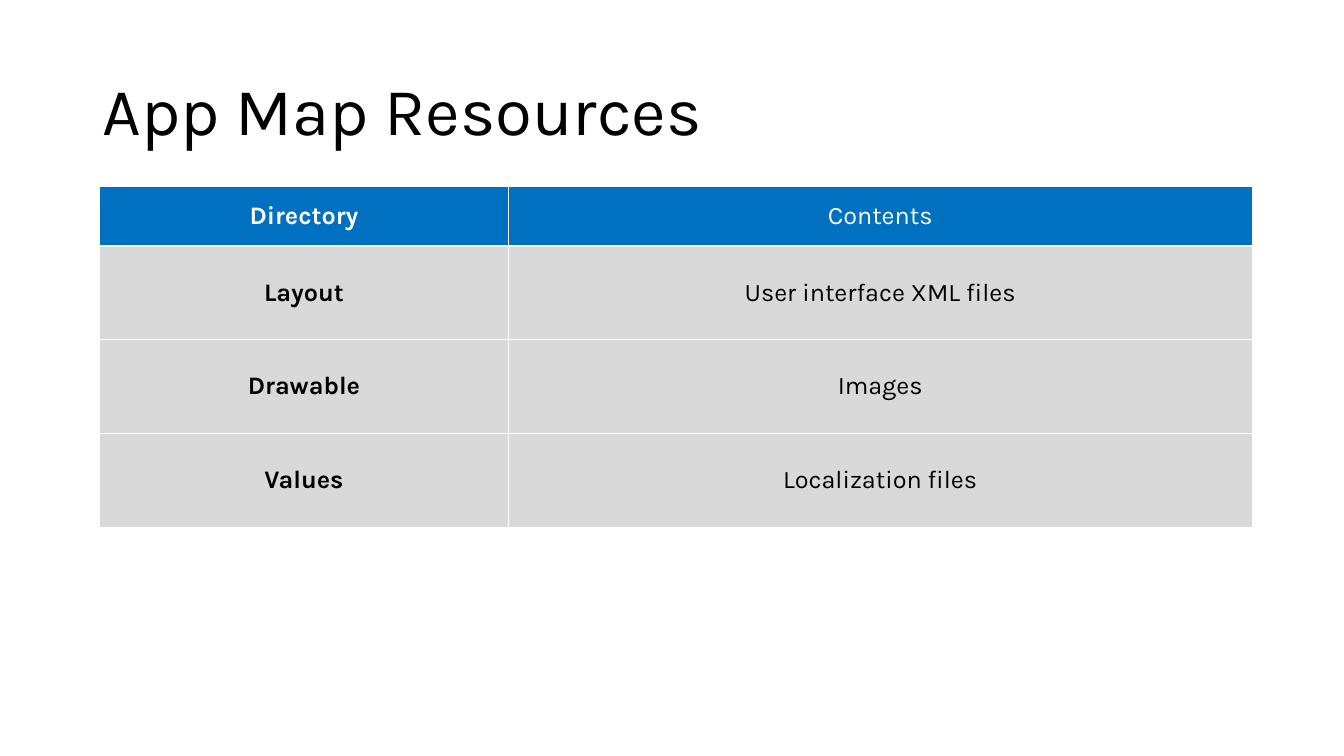
from lxml import etree
from pptx import Presentation
from pptx import util as u
from pptx.dml.color import RGBColor
from pptx.enum import text
from pptx.oxml import ns

BLACK = RGBColor(0x00, 0x00, 0x00)
WHITE = RGBColor(0xFF, 0xFF, 0xFF)
HEADER_BLUE = RGBColor(0x00, 0x70, 0xC0)
BODY_GRAY = RGBColor(0xD9, 0xD9, 0xD9)

EMU_PER_PX = 9144
COLUMN_WIDTHS = (405, 738)
ROW_HEIGHTS = (59, 93, 93, 93)
ROWS = (
    ("Directory", "Contents"),
    ("Layout", "User interface XML files"),
    ("Drawable", "Images"),
    ("Values", "Localization files"),
)


def px(length):
    return u.Emu(length * EMU_PER_PX)


def write(paragraph, content, font="Karla", size=18, color=BLACK, bold=False,
          align=text.PP_ALIGN.LEFT, spacing=1.0):
    paragraph.alignment = align
    paragraph.line_spacing = spacing
    run = paragraph.add_run()
    run.text = content
    run.font.name = font
    run.font.size = u.Pt(size)
    run.font.bold = bold
    run.font.color.rgb = color


class SlideBuilder:
    """Draws styled elements on one slide."""

    def __init__(self, slide, font="Karla", border=WHITE, border_width=1):
        self.slide = slide
        self.font = font
        self.border = border
        self.border_width = border_width

    def title(self, content, left, top, width, height):
        shape = self.slide.shapes.add_textbox(px(left), px(top), px(width), px(height))
        frame = shape.text_frame
        frame.word_wrap = True
        frame.vertical_anchor = text.MSO_ANCHOR.MIDDLE
        write(frame.paragraphs[0], content, font=self.font, size=48, spacing=0.9)

    def borders(self, cell):
        properties = cell._tc.get_or_add_tcPr()
        for index, side in enumerate(("lnL", "lnR", "lnT", "lnB")):
            line = etree.Element(ns.qn(f"a:{side}"), w=str(u.Pt(self.border_width)))
            fill = etree.SubElement(line, ns.qn("a:solidFill"))
            etree.SubElement(fill, ns.qn("a:srgbClr"), val=str(self.border))
            properties.insert(index, line)

    def cell(self, cell, content, fill, color, bold):
        cell.fill.solid()
        cell.fill.fore_color.rgb = fill
        cell.vertical_anchor = text.MSO_ANCHOR.MIDDLE
        write(cell.text_frame.paragraphs[0], content, font=self.font, color=color,
              bold=bold, align=text.PP_ALIGN.CENTER)
        self.borders(cell)

    def table(self, rows, left, top, widths, heights):
        shape = self.slide.shapes.add_table(
            len(rows), len(widths), px(left), px(top), px(sum(widths)), px(sum(heights)))
        table = shape.table
        for column, width in zip(table.columns, widths):
            column.width = px(width)
        for row, height in zip(table.rows, heights):
            row.height = px(height)
        for r, row in enumerate(rows):
            fill, color = (BODY_GRAY, BLACK) if r else (HEADER_BLUE, WHITE)
            for c, content in enumerate(row):
                self.cell(table.cell(r, c), content, fill, color, bold=c == 0)


def main():
    presentation = Presentation()
    presentation.slide_width = px(1333)
    presentation.slide_height = px(750)
    builder = SlideBuilder(presentation.slides.add_slide(presentation.slide_layouts[6]))
    builder.title("App Map Resources", 92, 40, 1150, 145)
    builder.table(ROWS, 99, 185, COLUMN_WIDTHS, ROW_HEIGHTS)
    presentation.save("out.pptx")


if __name__ == "__main__":
    main()
